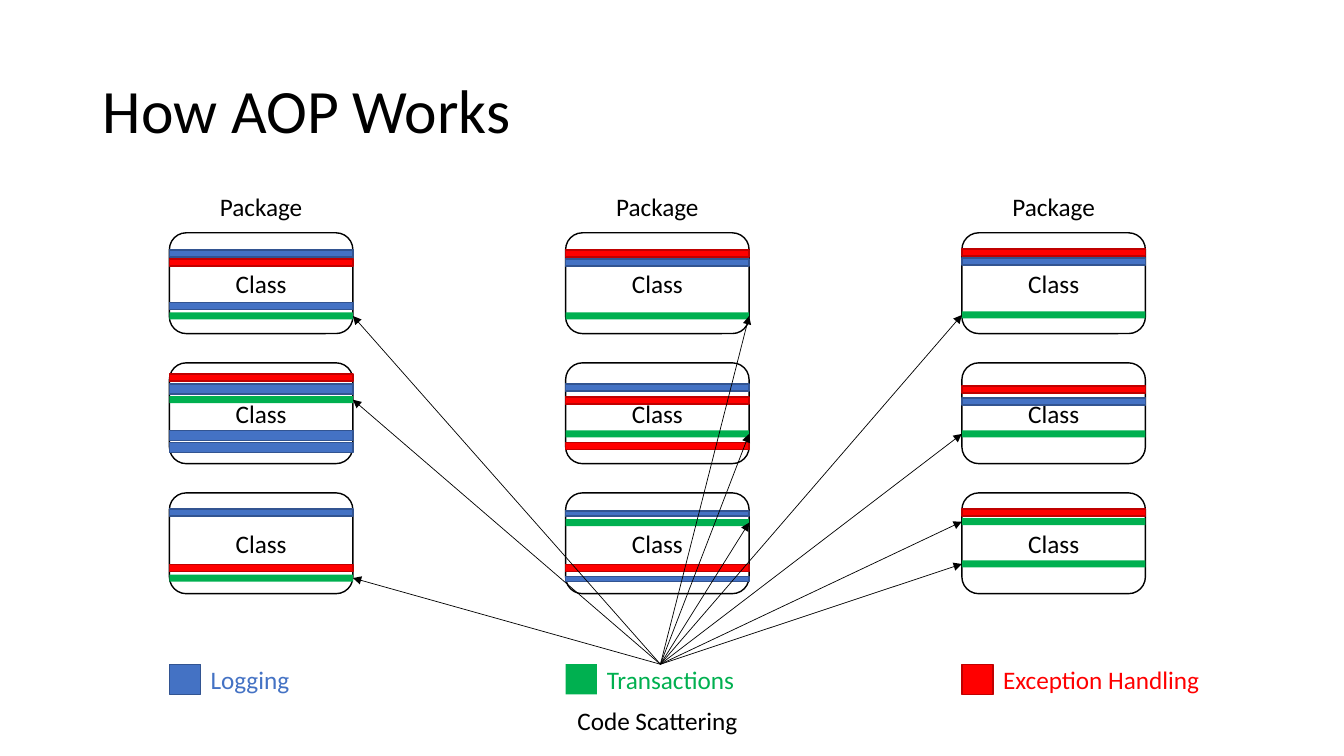
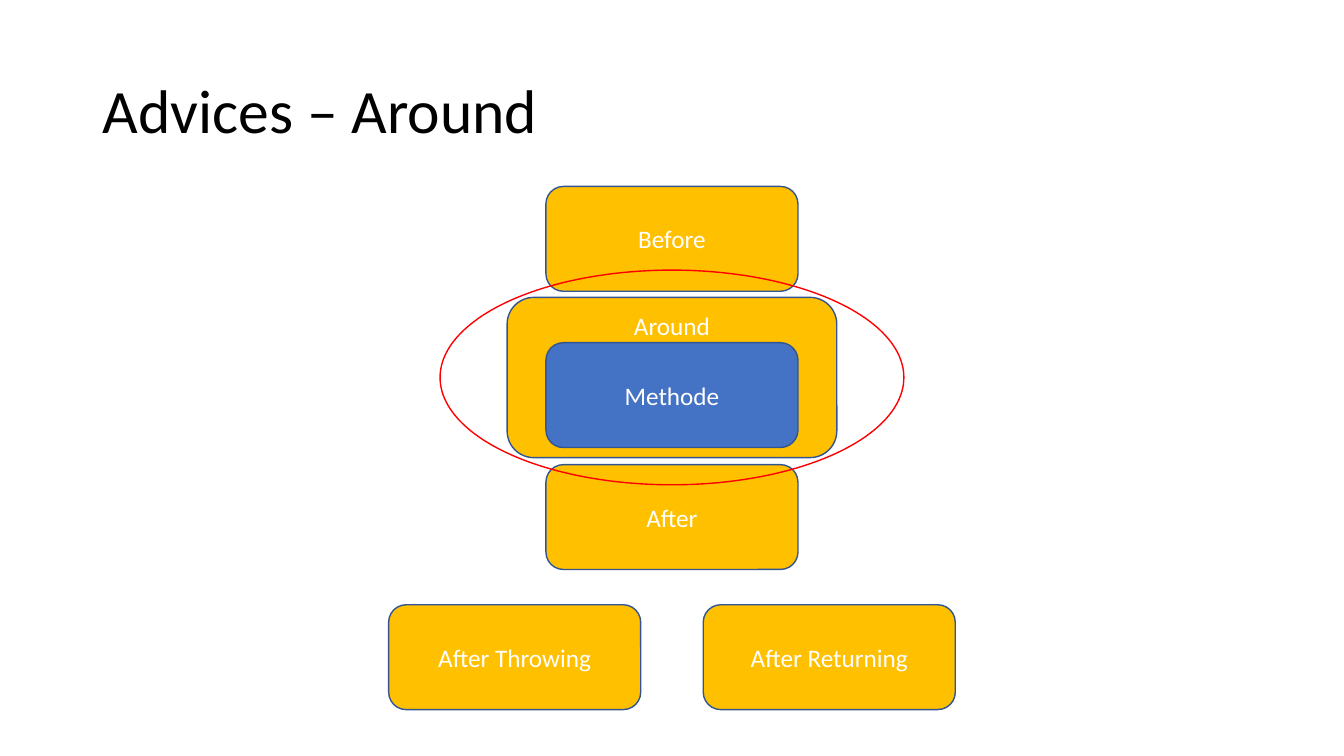
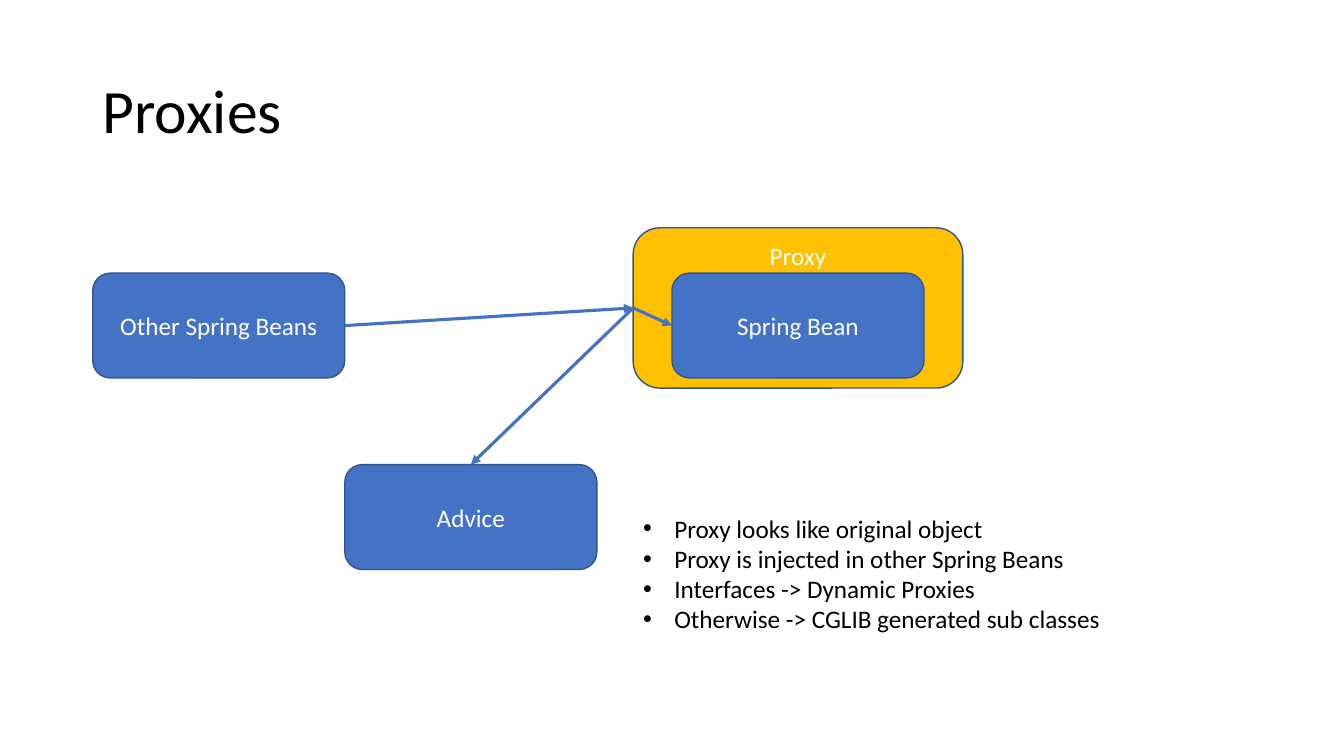
from lxml import etree
from pptx import Presentation
from pptx import util as u
from pptx.dml.color import RGBColor
from pptx.enum import shapes, text
from pptx.oxml.ns import qn

WIDE, HIGH = 13.33, 7.5
MID = WIDE / 2
FONT = "Calibri"

BLACK = RGBColor(0x00, 0x00, 0x00)
WHITE = RGBColor(0xFF, 0xFF, 0xFF)
BLUE = RGBColor(0x44, 0x72, 0xC4)
NAVY = RGBColor(0x32, 0x54, 0x91)
GREEN = RGBColor(0x00, 0xB0, 0x50)
RED = RGBColor(0xFF, 0x00, 0x00)
DARK = RGBColor(0xC0, 0x00, 0x00)
GOLD = RGBColor(0xFF, 0xC0, 0x00)

RECT = shapes.MSO_SHAPE.RECTANGLE
ROUND = shapes.MSO_SHAPE.ROUNDED_RECTANGLE
OVAL = shapes.MSO_SHAPE.OVAL
LEFT, CENTER = text.PP_ALIGN.LEFT, text.PP_ALIGN.CENTER
TOP, MIDDLE = text.MSO_ANCHOR.TOP, text.MSO_ANCHOR.MIDDLE

# Class grid: first corner, pitch and cell size
GRID_X, GRID_Y = 1.68, 2.31
STEP_X, STEP_Y = 3.93, 1.29
CELL_W, CELL_H = 1.82, 1.0
THIN = 0.07
KEY_Y = 6.59
HUB = (6.55, KEY_Y)

# Concern: name, fill, line
KEYS = {
    "L": ("Logging", BLUE, NAVY),
    "T": ("Transactions", GREEN, None),
    "E": ("Exception Handling", RED, DARK),
}

# Stripes by column, then row: concern, offset from the class top, height
CODE = [
    [
        [("L", 0.17, THIN), ("E", 0.26, THIN), ("L", 0.69, THIN), ("T", 0.79, THIN)],
        [("E", 0.11, THIN), ("L", 0.21, 0.1), ("T", 0.33, THIN),
         ("L", 0.67, 0.1), ("L", 0.79, 0.1)],
        [("L", 0.16, THIN), ("E", 0.71, THIN), ("T", 0.81, THIN)],
    ],
    [
        [("E", 0.17, THIN), ("L", 0.26, THIN), ("T", 0.79, THIN)],
        [("L", 0.21, THIN), ("E", 0.34, THIN), ("T", 0.67, THIN), ("E", 0.79, THIN)],
        [("L", 0.18, 0.05), ("T", 0.26, THIN), ("E", 0.71, THIN), ("L", 0.83, 0.05)],
    ],
    [
        [("E", 0.16, THIN), ("L", 0.25, THIN), ("T", 0.78, THIN)],
        [("E", 0.23, THIN), ("L", 0.35, THIN), ("T", 0.67, THIN)],
        [("E", 0.16, THIN), ("T", 0.25, THIN), ("T", 0.67, THIN)],
    ],
]

# Boxes of the advice and proxy slides
BOX_W, BOX_H = 2.5, 1.04
WRAP_W, WRAP_H = 3.27, 1.59
PAD_X, PAD_Y = (WRAP_W - BOX_W) / 2, 0.45
SIDE_L, SIDE_R, SIDE_T = 1, 3, 0


def inch(*sizes):
    return [u.Inches(size) for size in sizes]


def write(shape, *lines, size=18, color=BLACK, align=LEFT, anchor=TOP,
          space=None, bullet=None):
    frame = shape.text_frame
    frame.word_wrap = True
    frame.vertical_anchor = anchor
    for i, line in enumerate(lines):
        para = frame.add_paragraph() if i else frame.paragraphs[0]
        para.alignment = align
        if space:
            para.line_spacing = space
        run = para.add_run()
        run.text = line
        run.font.name, run.font.size = FONT, u.Pt(size)
        run.font.color.rgb = color
        if bullet:
            props = para._p.get_or_add_pPr()
            props.set("marL", str(u.Inches(0.31)))
            props.set("indent", str(-u.Inches(0.31)))
            etree.SubElement(props, qn("a:buFont")).set("typeface", "Arial")
            etree.SubElement(props, qn("a:buChar")).set("char", bullet)


def label(slide, x, y, w, h, *lines, **style):
    write(slide.shapes.add_textbox(*inch(x, y, w, h)), *lines, **style)


def block(slide, kind, x, y, w, h, fill=None, line=None):
    shape = slide.shapes.add_shape(kind, *inch(x, y, w, h))
    shape.shadow.inherit = False
    if fill is None:
        shape.fill.background()
    else:
        shape.fill.solid()
        shape.fill.fore_color.rgb = fill
    if line is None:
        shape.line.fill.background()
    else:
        shape.line.color.rgb = line
        shape.line.width = u.Pt(1)
    return shape


def arrow(slide, start, end, color=BLACK, width=0.5):
    line = slide.shapes.add_connector(
        shapes.MSO_CONNECTOR.STRAIGHT, *inch(*start, *end))
    line.line.color.rgb = color
    line.line.width = u.Pt(width)
    etree.SubElement(line.line._get_or_add_ln(), qn("a:tailEnd")).set("type", "triangle")
    etree.SubElement(line._element.spPr, qn("a:effectLst"))
    return line


def link(slide, source, side, target, end):
    """Glue an arrow to a side of each of two shapes."""
    line = arrow(slide, (0, 0), (1, 1), BLUE, 2.25)
    line.begin_connect(source, side)
    line.end_connect(target, end)


def box(slide, x, y, name, fill=GOLD):
    shape = block(slide, ROUND, x, y, BOX_W, BOX_H, fill, NAVY)
    write(shape, name, color=WHITE, align=CENTER, anchor=MIDDLE)
    return shape


def wrap(slide, x, y, name, inner):
    """Draw a gold box that holds a blue one; return both."""
    outer = block(slide, ROUND, x, y, WRAP_W, WRAP_H, GOLD, NAVY)
    write(outer, name, color=WHITE, align=CENTER)
    return outer, box(slide, x + PAD_X, y + PAD_Y, inner, BLUE)


def start(deck, title):
    slide = deck.slides.add_slide(deck.slide_layouts[6])
    label(slide, 0.92, 0.4, 11.5, 1.45, title, size=44, anchor=MIDDLE, space=0.9)
    return slide


def scatter(deck):
    slide = start(deck, "How AOP Works")
    tips = []
    for col, (rows, key) in enumerate(zip(CODE, KEYS.values())):
        x = GRID_X + col * STEP_X
        label(slide, x, 1.85, CELL_W, 0.4, "Package", align=CENTER)
        for row, bars in enumerate(rows):
            y = GRID_Y + row * STEP_Y
            cell = block(slide, ROUND, x, y, CELL_W, CELL_H, line=BLACK)
            write(cell, "Class", align=CENTER, anchor=MIDDLE)
            for kind, drop, tall in bars:
                block(slide, RECT, x, y + drop, CELL_W, tall, *KEYS[kind][1:])
                if kind == "T":
                    edge = x if col == 2 else x + CELL_W
                    tips.append((edge, y + drop + tall / 2))
        name, fill, line = key
        block(slide, RECT, x, KEY_Y, 0.31, 0.3, fill, line)
        label(slide, x + 0.31, KEY_Y - 0.05, 3.4, 0.4, name, color=fill)
    for tip in tips:
        arrow(slide, HUB, tip)
    label(slide, GRID_X + STEP_X, 6.95, CELL_W, 0.4, "Code Scattering", align=CENTER)


def advice(deck):
    slide = start(deck, "Advices – Around")
    left = MID - BOX_W / 2
    wrap(slide, MID - WRAP_W / 2, 2.95, "Around", "Methode")
    box(slide, left, 1.85, "Before")
    box(slide, left, 4.61, "After")
    for shift, name in ((-1.56, "After Throwing"), (1.56, "After Returning")):
        box(slide, left + shift, 6, name)
    block(slide, OVAL, MID - 2.3, 2.68, 4.6, 2.13, line=RED)


def proxy(deck):
    slide = start(deck, "Proxies")
    outer, bean = wrap(slide, 6.28, 2.26, "Proxy", "Spring Bean")
    other = box(slide, 0.92, 2.26 + PAD_Y, "Other Spring Beans", BLUE)
    hook = box(slide, 0.92 + BOX_W, 4.61, "Advice", BLUE)
    link(slide, other, SIDE_R, outer, SIDE_L)
    link(slide, outer, SIDE_L, bean, SIDE_L)
    link(slide, outer, SIDE_L, hook, SIDE_T)
    label(slide, 6.28, 5.04, 6.14, 1.31,
          "Proxy looks like original object",
          "Proxy is injected in other Spring Beans",
          "Interfaces -> Dynamic Proxies",
          "Otherwise -> CGLIB generated sub classes",
          bullet="•")


def main():
    deck = Presentation()
    deck.slide_width, deck.slide_height = inch(WIDE, HIGH)
    scatter(deck)
    advice(deck)
    proxy(deck)
    deck.save("out.pptx")


if __name__ == "__main__":
    main()
